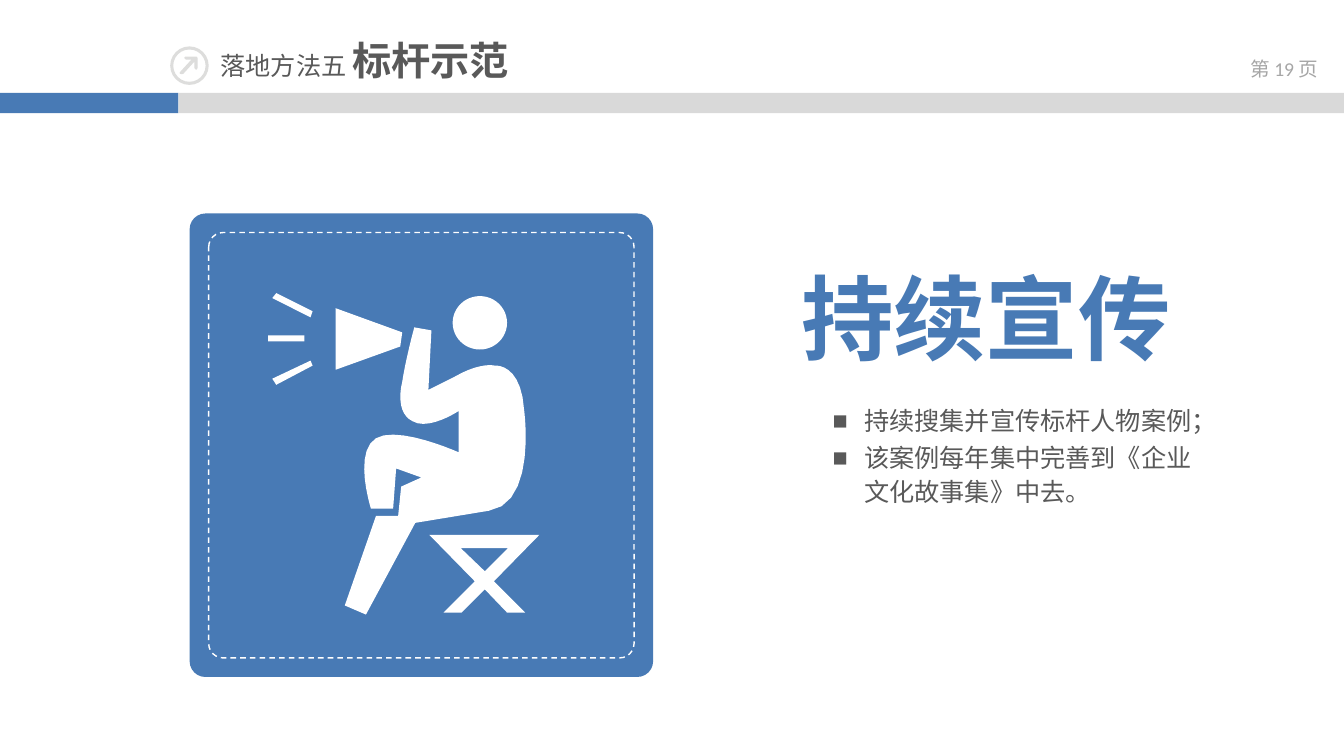
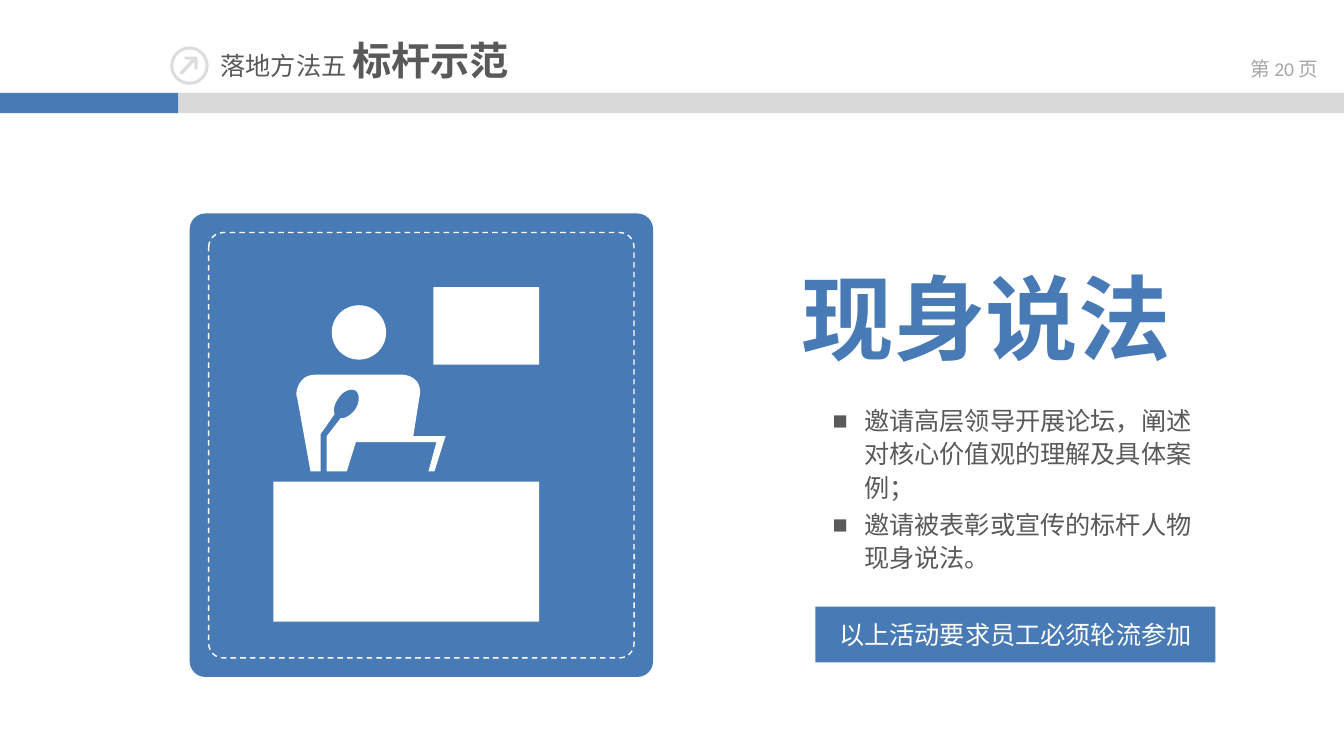
from typing import NamedTuple

from lxml import etree
from pptx import Presentation
from pptx.dml.color import RGBColor
from pptx.enum.dml import MSO_LINE
from pptx.enum.shapes import MSO_SHAPE
from pptx.enum.text import MSO_ANCHOR, MSO_AUTO_SIZE, PP_ALIGN
from pptx.oxml.ns import qn
from pptx.util import Cm, Pt

RECT, ROUNDED = MSO_SHAPE.RECTANGLE, MSO_SHAPE.ROUNDED_RECTANGLE
OVAL, DONUT = MSO_SHAPE.OVAL, MSO_SHAPE.DONUT
CENTER, DASH = PP_ALIGN.CENTER, MSO_LINE.DASH
TOP, MIDDLE = MSO_ANCHOR.TOP, MSO_ANCHOR.MIDDLE

BLUE, BAND_GREY, ICON_GREY = "487AB5", "D9D9D9", "DDDDDC"
TEXT_GREY, PAGE_GREY, WHITE = "595959", "A6A6A6", "FFFFFF"
LATIN, CHINESE = "Calibri", "Noto Sans CJK SC"
SLIDE_WIDTH, SLIDE_HEIGHT = 33.87, 19.05
CURVE_STEPS = 10


class Box(NamedTuple):
    """A rectangle in centimetres."""
    left: float
    top: float
    width: float
    height: float

    def lengths(self):
        return [Cm(value) for value in self]

    def inset(self, gap):
        return Box(self.left + gap, self.top + gap,
                   self.width - 2 * gap, self.height - 2 * gap)

    def subbox(self, area, grid):
        """Box of an area given in units, the width being `grid` units."""
        unit = self.width / grid
        left, top, width, height = (value * unit for value in area)
        return Box(self.left + left, self.top + top, width, height)


TILE = Box(4.78, 5.38, 11.68, 11.68)
TILE_GRID = 460
ICON = Box(4.29, 1.17, 0.97, 0.97)
ICON_GRID = 38

# Outlines: a pair is a corner; six numbers are a curve (two handles and its end).
ARROW = [[(13, 27), (24, 15), (24, 21), (24, 23, 27, 24, 27, 21), (27, 12),
          (27, 10, 26, 10, 24, 10), (16, 10), (13, 10, 14, 13, 16, 13),
          (21, 13), (10, 25), (8, 27, 11, 28, 13, 27)]]

STOOL = [[(293, 373), (315, 396), (333, 396), (302, 365), (347, 319),
          (238, 319), (283, 365), (252, 396), (270, 396)],
         [(269, 332), (316, 332), (293, 355)]]
SEATED_BODY = [[(332, 195), (329, 148, 303, 151, 303, 151),
                (303, 151, 289, 147, 263, 162), (237, 175), (240, 116),
                (223, 113), (223, 113, 215, 142, 211, 167),
                (207, 184, 209, 200, 221, 206), (237, 216, 267, 196, 267, 196),
                (267, 237), (267, 237, 207, 210, 185, 223),
                (162, 237, 180, 293, 180, 293), (202, 293), (205, 253),
                (230, 262), (210, 271), (207, 300), (185, 300), (154, 389),
                (175, 398), (224, 307), (297, 295),
                (345, 288, 332, 195, 332, 195)]]
HORN = [[(145, 94), (145, 155), (209, 132), (211, 118)]]
UPPER_SOUND = [[(82, 84), (120, 103), (122, 97), (86, 79)]]
LOWER_SOUND = [[(82, 164), (86, 170), (122, 151), (120, 146)]]
SPEAKER_BODY = [[(222, 221), (228, 183), (228, 183, 231, 173, 225, 166),
                 (221, 162, 216, 160, 210, 160), (126, 160),
                 (119, 160, 114, 162, 111, 166), (107, 171, 106, 176, 106, 179),
                 (106, 182, 107, 183, 107, 184), (120, 256), (130, 256),
                 (130, 219), (144, 199), (142, 195, 144, 188, 148, 183),
                 (152, 176, 161, 173, 165, 176), (169, 179, 169, 188, 164, 195),
                 (160, 200, 154, 204, 150, 203), (136, 221), (136, 256),
                 (156, 256), (165, 227), (245, 227), (237, 256), (243, 256),
                 (254, 221)]]

PROMOTER = {
    "outlines": [STOOL, SEATED_BODY, HORN, UPPER_SOUND, LOWER_SOUND],
    "presets": [(OVAL, (261, 82, 54, 53)), (RECT, (78, 121, 36, 6))],
}
SPEAKER = {
    "outlines": [SPEAKER_BODY],
    "presets": [(RECT, (242, 73, 105, 77)), (OVAL, (141, 91, 54, 54)),
                (RECT, (83, 266, 264, 139))],
}


def color(hex_string):
    return RGBColor.from_string(hex_string)


def paint(shape, fill):
    shape.shadow.inherit = False
    shape.line.fill.background()
    if fill:
        shape.fill.solid()
        shape.fill.fore_color.rgb = color(fill)
    else:
        shape.fill.background()
    return shape


def add_preset(shapes, kind, box, fill, adjustment=None):
    shape = paint(shapes.add_shape(kind, *box.lengths()), fill)
    if adjustment is not None:
        shape.adjustments[0] = adjustment
    return shape


def flatten(contour):
    """Turn corners and cubic curves into a list of points."""
    points = []
    for step in contour:
        if len(step) == 2:
            points.append(step)
            continue
        knots = [points[-1], step[:2], step[2:4], step[4:]]
        for index in range(1, CURVE_STEPS + 1):
            t = index / CURVE_STEPS
            weights = ((1 - t) ** 3, 3 * t * (1 - t) ** 2,
                       3 * t * t * (1 - t), t ** 3)
            points.append(tuple(sum(weight * knot[axis] for weight, knot
                                    in zip(weights, knots)) for axis in (0, 1)))
    return points


def add_outline(shapes, contours, box, grid, fill):
    unit = box.width / grid
    builder = None
    for contour in contours:
        points = [(Cm(box.left + x * unit), Cm(box.top + y * unit))
                  for x, y in flatten(contour)]
        if builder is None:
            builder = shapes.build_freeform(*points[0])
        else:
            builder.move_to(*points[0])
        builder.add_line_segments(points[1:], close=True)
    return paint(builder.convert_to_shape(), fill)


def add_span(para, text, size, fill, font=LATIN, bold=False):
    span = para.add_run()
    span.text = text
    span.font.size, span.font.bold, span.font.name = Pt(size), bold, font
    span.font.color.rgb = color(fill)
    latin = span.font._element.find(qn("a:latin"))
    east_asian = etree.Element(qn("a:ea"), typeface=font)
    latin.addnext(east_asian)


def place(shape, box):
    shape.left, shape.top, shape.width, shape.height = box.lengths()


def set_frame(shape, wrap, anchor=TOP):
    frame = shape.text_frame
    frame.auto_size = MSO_AUTO_SIZE.NONE
    frame.word_wrap, frame.vertical_anchor = wrap, anchor
    return frame


def add_header(slide, page_number):
    band = Box(0, 2.34, SLIDE_WIDTH, 0.51)
    accent = band._replace(width=4.5)
    rest = band._replace(left=accent.width, width=band.width - accent.width)
    add_preset(slide.shapes, RECT, accent, BLUE)
    add_preset(slide.shapes, RECT, rest, BAND_GREY)

    icon = slide.shapes.add_group_shape().shapes
    add_outline(icon, ARROW, ICON, ICON_GRID, ICON_GREY)
    add_preset(icon, DONUT, ICON, ICON_GREY, 0.08)

    section = slide.shapes.add_textbox(*Box(5.31, 0.79, 7.85, 1.45).lengths())
    para = set_frame(section, False).paragraphs[0]
    add_span(para, "落地方法五 ", 18, TEXT_GREY)
    add_span(para, "标杆示范", 28, TEXT_GREY, bold=True)

    page = slide.shapes.add_textbox(*Box(30.84, 1.3, 3.05, 1.02).lengths())
    para = set_frame(page, True).paragraphs[0]
    para.alignment = CENTER
    add_span(para, "第 ", 14, PAGE_GREY, CHINESE)
    add_span(para, f"{page_number} ", 14, PAGE_GREY)
    add_span(para, "页", 14, PAGE_GREY, CHINESE)


def add_sign(slide, box, figure):
    tile = slide.shapes.add_group_shape().shapes
    add_preset(tile, ROUNDED, box, BLUE, 0.034)
    border = add_preset(tile, ROUNDED, box.inset(0.48), None, 0.034)
    border.line.color.rgb = color(WHITE)
    border.line.width, border.line.dash_style = Pt(1), DASH

    # Presets go last: adding one refits the group around everything in it.
    person = slide.shapes.add_group_shape().shapes
    for contours in figure["outlines"]:
        add_outline(person, contours, box, TILE_GRID, WHITE)
    for kind, area in figure["presets"]:
        add_preset(person, kind, box.subbox(area, TILE_GRID), WHITE)


def fill_title(title, box, text):
    place(title, box)
    para = set_frame(title, False).paragraphs[0]
    para.alignment = CENTER
    add_span(para, text, 66, BLUE, bold=True)


def fill_list(body, box, items):
    place(body, box)
    frame = set_frame(body, True)
    for index, item in enumerate(items):
        para = frame.add_paragraph() if index else frame.paragraphs[0]
        properties = para._p.get_or_add_pPr()
        properties.set("marL", str(Cm(0.79)))
        properties.set("indent", str(-Cm(0.79)))
        etree.SubElement(properties, qn("a:buChar"), char="■")
        para.line_spacing = 1.1
        para.space_before = Pt(3 if index else 0)
        add_span(para, item, 18, TEXT_GREY)


def add_banner(slide, box, text):
    banner = add_preset(slide.shapes, RECT, box, BLUE)
    para = set_frame(banner, True, MIDDLE).paragraphs[0]
    para.alignment = CENTER
    add_span(para, text, 18, WHITE)


def add_method_slide(deck, page_number, title, items, figure, banner=None):
    slide = deck.slides.add_slide(deck.slide_layouts[1])
    add_header(slide, page_number)
    add_sign(slide, TILE, figure)
    fill_title(slide.shapes.title, Box(19.89, 6.45, 9.91, 3.07), title)
    fill_list(slide.placeholders[1], Box(20.73, 10.01, 9.75, 4.6), items)
    if banner:
        add_banner(slide, Box(20.55, 15.29, 10.08, 1.4), banner)


def main():
    deck = Presentation()
    deck.slide_width, deck.slide_height = Cm(SLIDE_WIDTH), Cm(SLIDE_HEIGHT)
    add_method_slide(deck, 19, "持续宣传", [
        "持续搜集并宣传标杆人物案例；",
        "该案例每年集中完善到《企业文化故事集》中去。",
    ], PROMOTER)
    add_method_slide(deck, 20, "现身说法", [
        "邀请高层领导开展论坛，阐述对核心价值观的理解及具体案例；",
        "邀请被表彰或宣传的标杆人物现身说法。",
    ], SPEAKER, "以上活动要求员工必须轮流参加")
    deck.save("out.pptx")


if __name__ == "__main__":
    main()
